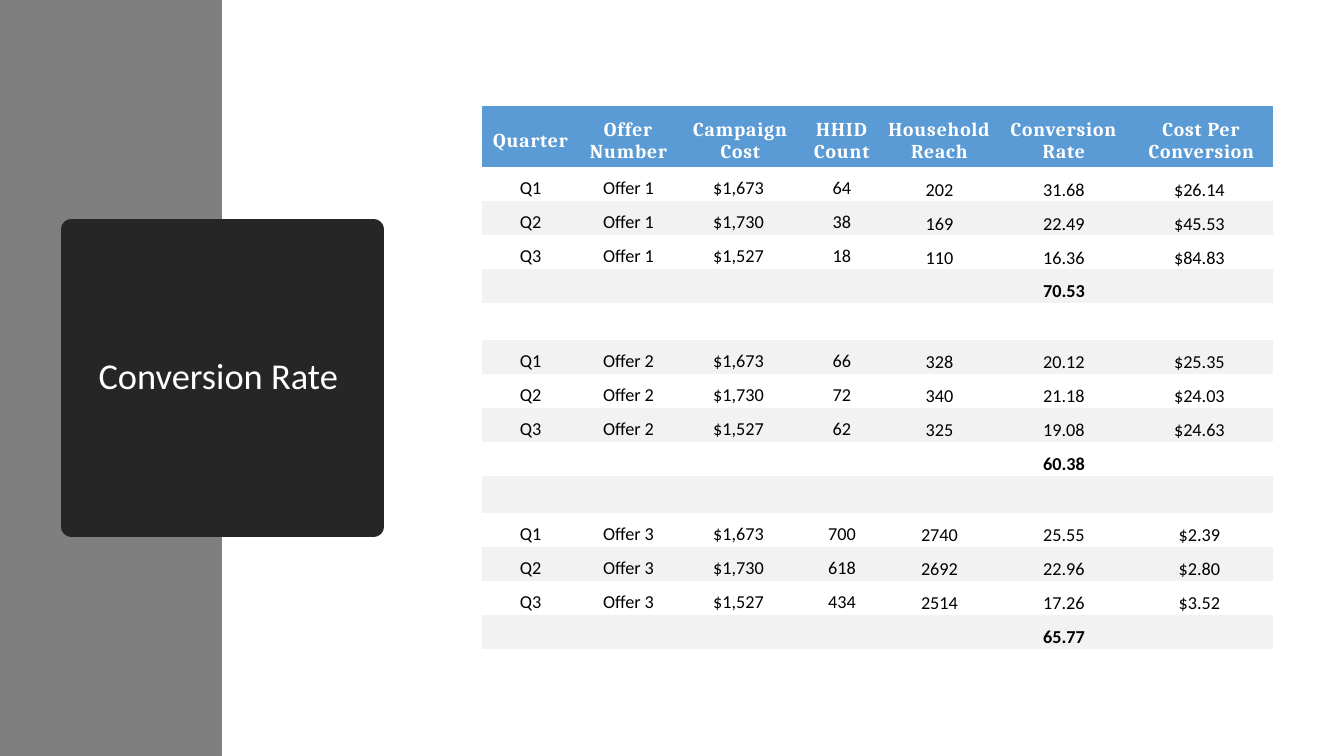
from lxml import etree
from pptx import Presentation
from pptx.dml.color import RGBColor
from pptx.enum.shapes import MSO_SHAPE
from pptx.enum.text import MSO_ANCHOR, MSO_AUTO_SIZE, PP_ALIGN
from pptx.oxml.ns import qn
from pptx.util import Pt

RECT = MSO_SHAPE.RECTANGLE
MIDDLE, BOTTOM = MSO_ANCHOR.MIDDLE, MSO_ANCHOR.BOTTOM
CENTER = PP_ALIGN.CENTER
NO_FIT = MSO_AUTO_SIZE.NONE
PLAIN = "{2D5ABB26-0587-4C30-8999-92F81FD0307C}"
SCALE = 914400 / 100.8

HEAD = ["Quarter", "Offer Number", "Campaign Cost", "HHID Count",
        "Household Reach", "Conversion Rate", "Cost Per Conversion"]
WIDTHS = [97, 99, 125, 78, 117, 132, 143]
COSTS = ["$1,673 ", "$1,730 ", "$1,527 "]
OFFERS = [
    ("70.53", [("64", "202", "31.68", "$26.14 "),
               ("38", "169", "22.49", "$45.53 "),
               ("18", "110", "16.36", "$84.83 ")]),
    ("60.38", [("66", "328", "20.12", "$25.35 "),
               ("72", "340", "21.18", "$24.03 "),
               ("62", "325", "19.08", "$24.63 ")]),
    ("65.77", [("700", "2740", "25.55", "$2.39 "),
               ("618", "2692", "22.96", "$2.80 "),
               ("434", "2514", "17.26", "$3.52 ")]),
]
RATE_COL = 5
BLANK = [""] * len(HEAD)


def px(count):
    return round(count * SCALE)


def paint(fill, color):
    fill.solid()
    fill.fore_color.rgb = RGBColor.from_string(color)


def add_text(para, text, size, color, face="Calibri", bold=False):
    para.alignment = CENTER
    run = para.add_run()
    run.text = text
    run.font.name = face
    run.font.size = Pt(size)
    run.font.bold = bold
    run.font.color.rgb = RGBColor.from_string(color)
    return run


def add_band(slide):
    band = slide.shapes.add_shape(RECT, 0, 0, px(222), px(756))
    band.shadow.inherit = False
    paint(band.fill, "7F7F7F")
    band.line.fill.background()


def set_title(slide):
    title = slide.shapes.title
    title.left, title.top = px(71), px(229)
    title.width, title.height = px(303), px(298)
    shape = etree.SubElement(title.element.spPr, qn("a:prstGeom"), prst="ellipse")
    etree.SubElement(shape, qn("a:avLst"))
    paint(title.fill, "262626")
    paint(title.line.fill, "262626")
    title.line.width = Pt(13.75)
    frame = title.text_frame
    frame.word_wrap = True
    frame.auto_size = NO_FIT
    frame.vertical_anchor = MIDDLE
    para = frame.paragraphs[0]
    para.line_spacing = 0.9
    para.space_after = Pt(6)
    add_text(para, "Conversion Rate ", 26, "FFFFFF")
    slide.shapes.element.append(title.element)


def list_rows():
    rows = [HEAD]
    for num, (total, lines) in enumerate(OFFERS, 1):
        if num > 1:
            rows.append(BLANK)
        for step, (cost, line) in enumerate(zip(COSTS, lines), 1):
            rows.append([f"Q{step}", f"Offer {num}", cost, *line])
        rows.append([total if col == RATE_COL else "" for col in range(len(HEAD))])
    return rows


def fill_cell(cell, text, row, col, bold):
    cell.margin_left = cell.margin_right = px(1)
    cell.margin_top, cell.margin_bottom = px(9), 0
    cell.vertical_anchor = BOTTOM if row and col > 3 else MIDDLE
    if row == 0:
        paint(cell.fill, "5B9BD5")
    elif row % 2 == 0:
        paint(cell.fill, "F2F2F2")
    else:
        cell.fill.background()
    para = cell.text_frame.paragraphs[0]
    if not text:
        etree.SubElement(para._p, qn("a:endParaRPr"), sz="1300")
    elif row == 0:
        run = add_text(para, text, 14, "FFFFFF", "Cambria", True)
        run._r.get_or_add_rPr().set("spc", "60")
    else:
        add_text(para, text, 13, "000000", bold=bold)


def add_grid(slide):
    rows = list_rows()
    highs = [61] + [34 if any(row) else 37 for row in rows[1:]]
    frame = slide.shapes.add_table(len(rows), len(HEAD), px(482), px(106),
                                   px(sum(WIDTHS)), px(sum(highs)))
    table = frame.table
    table.first_row = table.horz_banding = False
    table._tbl.tblPr.find(qn("a:tableStyleId")).text = PLAIN
    for col, width in enumerate(WIDTHS):
        table.columns[col].width = px(width)
    for row, texts in enumerate(rows):
        table.rows[row].height = px(highs[row])
        for col, text in enumerate(texts):
            fill_cell(table.cell(row, col), text, row, col, not texts[0])


def main():
    deck = Presentation()
    deck.slide_width, deck.slide_height = px(1344), px(756)
    slide = deck.slides.add_slide(deck.slide_layouts[5])
    add_band(slide)
    set_title(slide)
    add_grid(slide)
    deck.save("out.pptx")


if __name__ == "__main__":
    main()
